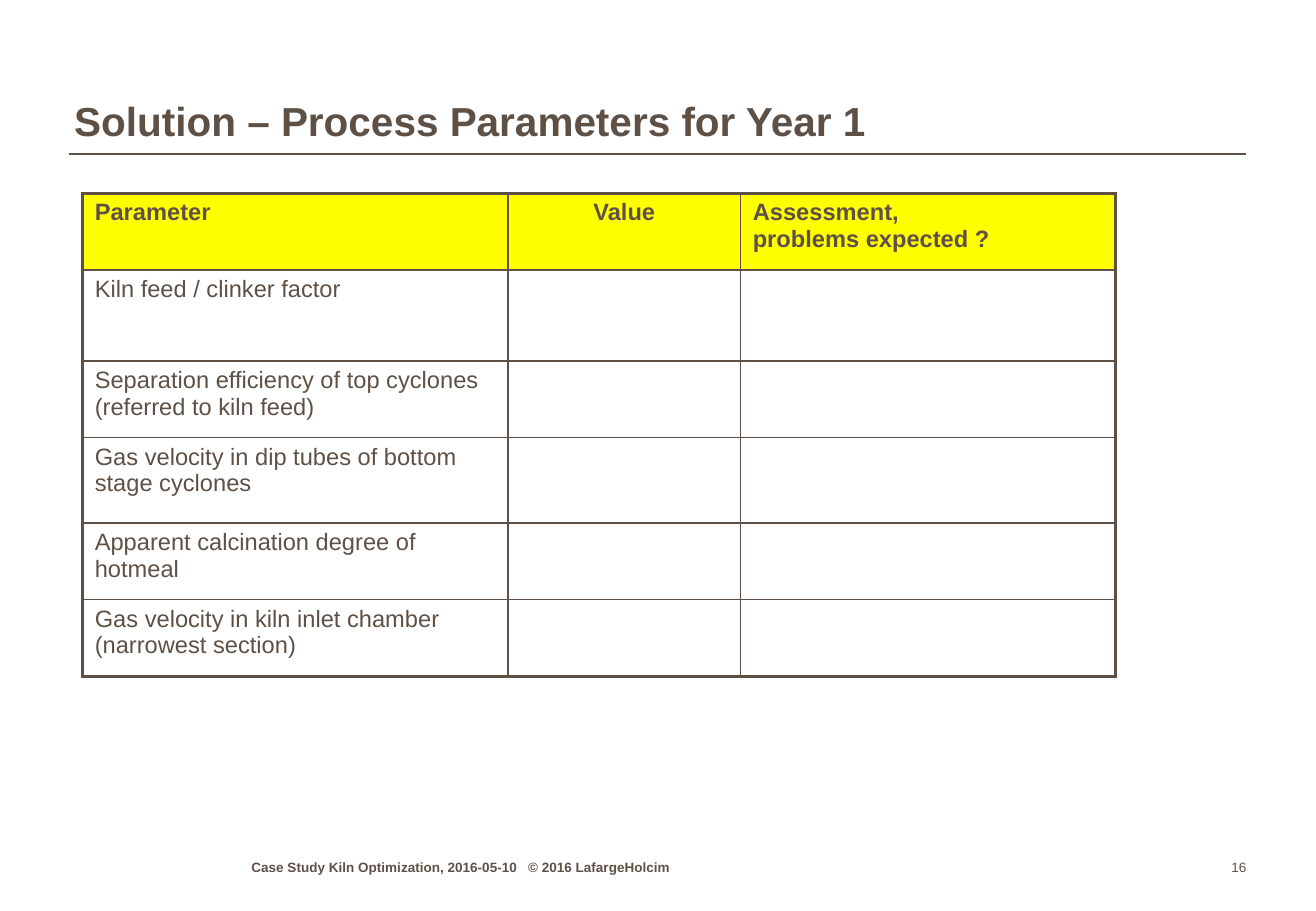
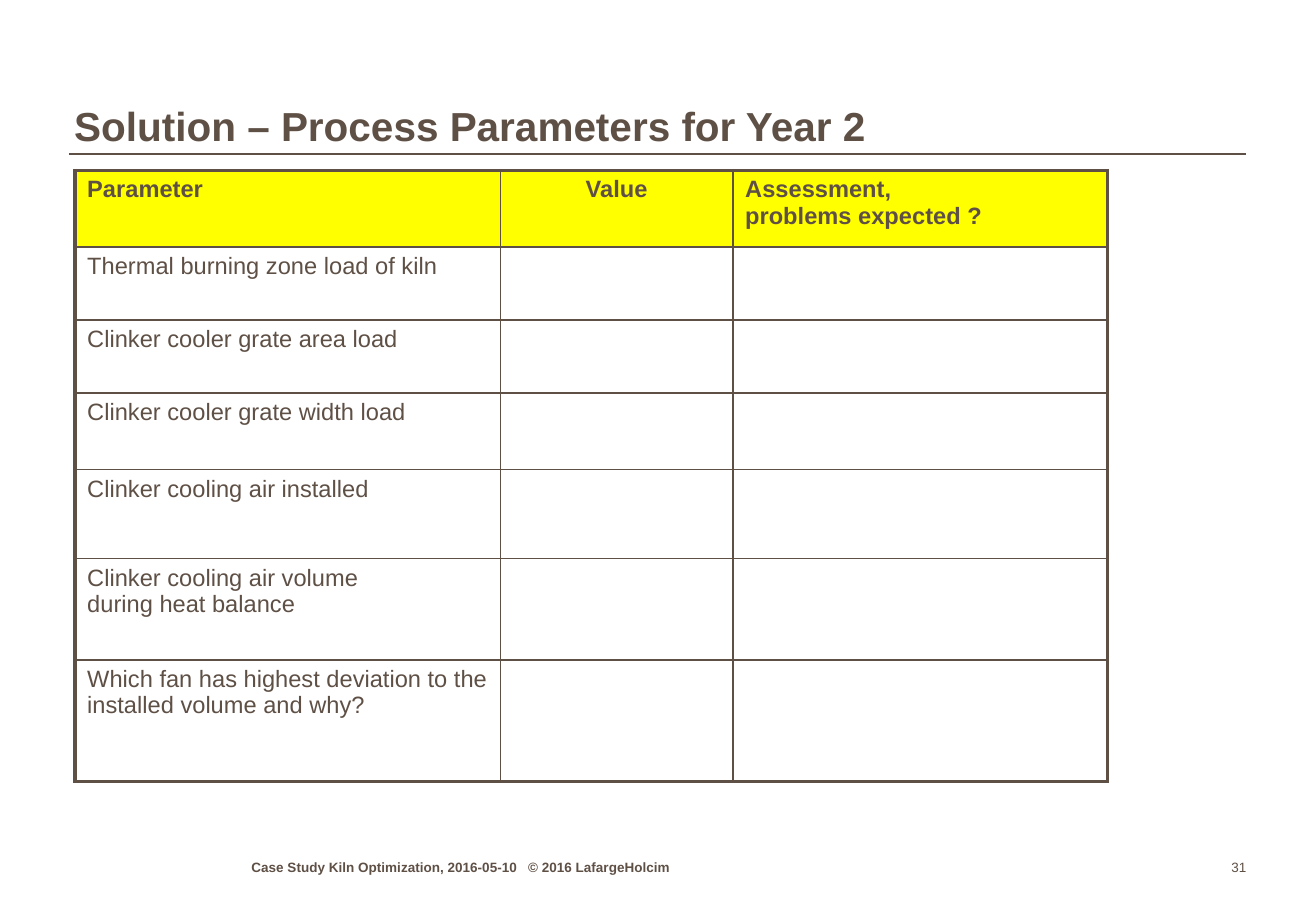
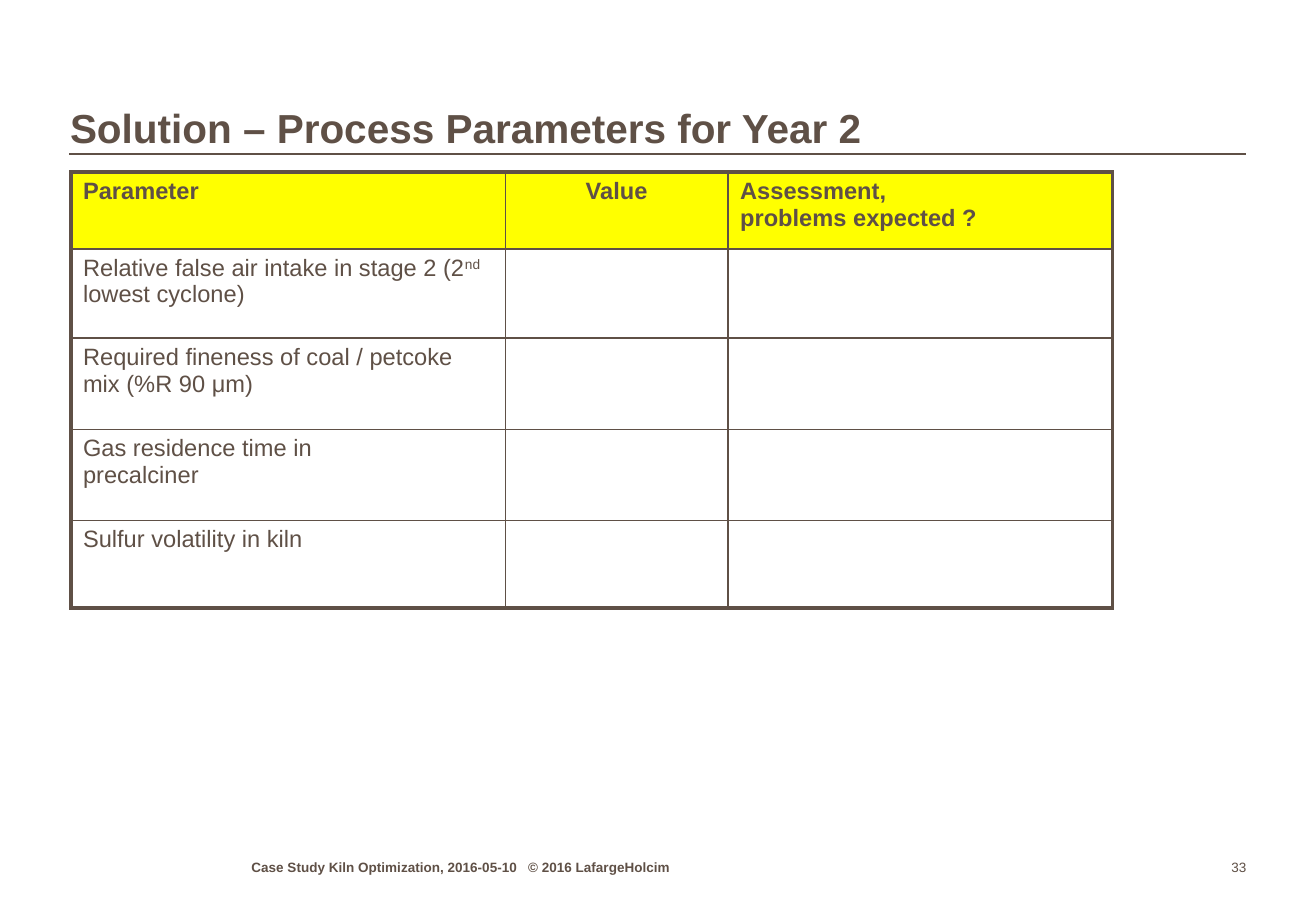
"""Build three slides of kiln process parameter tables."""
from copy import deepcopy

from lxml.etree import SubElement
from pptx import Presentation
from pptx.dml.color import RGBColor
from pptx.enum.shapes import MSO_CONNECTOR
from pptx.enum.text import MSO_ANCHOR, PP_ALIGN
from pptx.oxml.ns import qn
from pptx.util import Pt

HUES = {"ink": "5F5046", "head": "FFFF00"}
FACE = "Arial"
HEADS = ["Parameter", "Value", "Assessment,\nproblems expected ?"]
FOOT = "Case Study Kiln Optimization, 2016-05-10\t© 2016 LafargeHolcim"

PAGES = [
    {"title": "Solution – Process Parameters for Year 1", "page": "16",
     "spot": (44, 24), "grid": (49, 114.5), "cols": [252, 138, 222], "top": 45.5,
     "rows": [("Kiln feed / clinker factor", 54),
              ("Separation efficiency of top cyclones (referred to kiln feed)", 45.5),
              ("Gas velocity in dip tubes of bottom stage cyclones", 50.5),
              ("Apparent calcination degree of hotmeal", 45.5),
              ("Gas velocity in kiln inlet chamber (narrowest section)", 45.5)]},
    {"title": "Solution – Process Parameters for Year 2", "page": "31",
     "spot": (44, 27), "grid": (44.5, 101), "cols": [252, 138, 222], "top": 45.5,
     "rows": [("Thermal burning zone load of kiln", 43.3),
              ("Clinker cooler grate area load", 43.3),
              ("Clinker cooler grate width load", 45.3),
              ("Clinker cooling air installed", 52.8),
              ("Clinker cooling air volume\nduring heat balance", 60),
              ("Which fan has highest deviation to the installed volume and why?", 72)]},
    {"title": "Solution – Process Parameters for Year 2", "page": "33",
     "spot": (41.5, 28.3), "grid": (42, 102), "cols": [257.5, 132, 228], "top": 45.5,
     "rows": [("Relative false air intake in stage 2 (2^nd^ lowest cyclone)", 53),
              ("Required fineness of coal / petcoke mix (%R 90 μm)", 54),
              ("Gas residence time in\nprecalciner", 54),
              ("Sulfur volatility in kiln", 52)]},
]


def write(frame, text, size=14, bold=False, align=PP_ALIGN.LEFT, space=None, tab=None):
    """Write text in one paragraph; carets enclose superscript."""
    para = frame.paragraphs[0]
    para.alignment = align
    if space:
        para.line_spacing = space
    if tab:
        tabs = SubElement(para._p.get_or_add_pPr(), qn("a:tabLst"))
        SubElement(tabs, qn("a:tab"), pos=str(Pt(tab)), algn="l")
    for row, line in enumerate(text.split("\n")):
        if row:
            para.add_line_break()
            para._p[-1].append(deepcopy(run._r.rPr))
        for part, words in enumerate(line.split("^")):
            run = para.add_run()
            run.text = words
            run.font.size = Pt(size)
            run.font.bold = bold
            run.font.name = FACE
            run.font.color.rgb = RGBColor.from_string(HUES["ink"])
            if part % 2:
                run._r.rPr.set("baseline", "30000")


def edge(cell, sides):
    """Draw the cell borders, given as tag and width pairs."""
    props = cell._tc.get_or_add_tcPr()
    for tag, width in sides:
        line = SubElement(props, qn("a:" + tag), w=str(Pt(width)))
        fill = SubElement(line, qn("a:solidFill"))
        SubElement(fill, qn("a:srgbClr"), val=HUES["ink"])


deck = Presentation()
deck.slide_width, deck.slide_height = Pt(780), Pt(540)

for page in PAGES:
    slide = deck.slides.add_slide(deck.slide_layouts[6])
    rule = slide.shapes.add_connector(
        MSO_CONNECTOR.STRAIGHT, Pt(41), Pt(91.5), Pt(738.7), Pt(91.5))
    rule.line.color.rgb = RGBColor.from_string(HUES["ink"])
    rule.line.width = Pt(1)
    SubElement(rule._element.spPr, qn("a:effectLst"))

    left, top = page["spot"]
    texts = [
        (page["title"], (left, top, 691, 62.5), {"size": 24, "bold": True, "space": 0.95}),
        (FOOT, (149, 505.5, 250, 13), {"size": 8, "bold": True, "tab": 164}),
        (page["page"], (705, 505.5, 33.7, 13), {"size": 8, "align": PP_ALIGN.RIGHT}),
    ]
    for text, place, style in texts:
        frame = slide.shapes.add_textbox(*map(Pt, place)).text_frame
        frame.word_wrap = True
        frame.vertical_anchor = MSO_ANCHOR.BOTTOM
        frame.margin_left = frame.margin_right = 0
        frame.margin_top = frame.margin_bottom = 0
        write(frame, text, **style)

    lines = [(HEADS, page["top"])] + [([name, "", ""], tall) for name, tall in page["rows"]]
    size = sum(page["cols"]), sum(tall for _, tall in lines)
    table = slide.shapes.add_table(
        len(lines), len(HEADS), *map(Pt, page["grid"] + size)).table
    table.first_row = table.horz_banding = False
    for col, wide in zip(table.columns, page["cols"]):
        col.width = Pt(wide)
    last = len(lines) - 1
    for row, (words, tall) in enumerate(lines):
        table.rows[row].height = Pt(tall)
        for col, text in enumerate(words):
            cell = table.cell(row, col)
            outer = [("lnL", col == 0), ("lnR", col == 2),
                     ("lnT", row == 0), ("lnB", row == last)]
            edge(cell, [(tag, 2.25 if thick else 1) for tag, thick in outer])
            if row == 0:
                cell.fill.solid()
                cell.fill.fore_color.rgb = RGBColor.from_string(HUES["head"])
            else:
                cell.fill.background()
            if text:
                write(cell.text_frame, text, bold=row == 0,
                      align=PP_ALIGN.CENTER if col == 1 else PP_ALIGN.LEFT)

deck.save("out.pptx")
